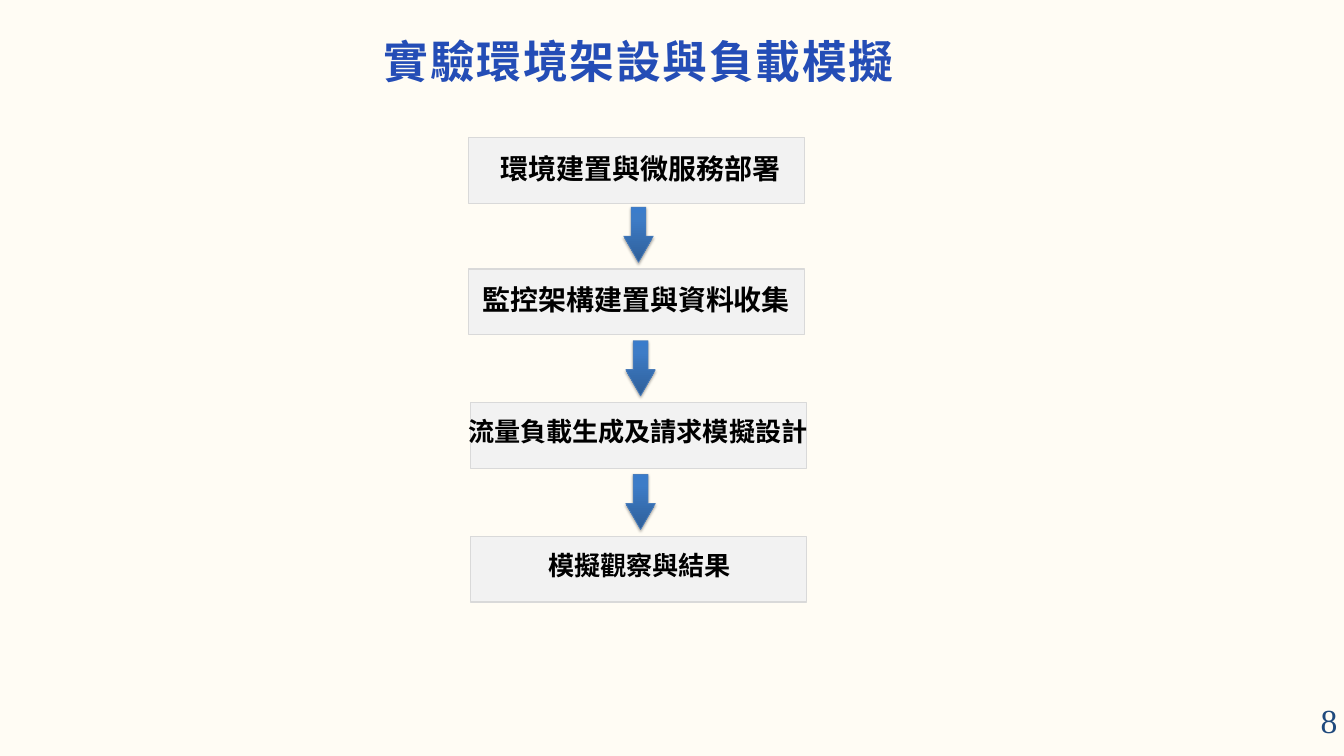
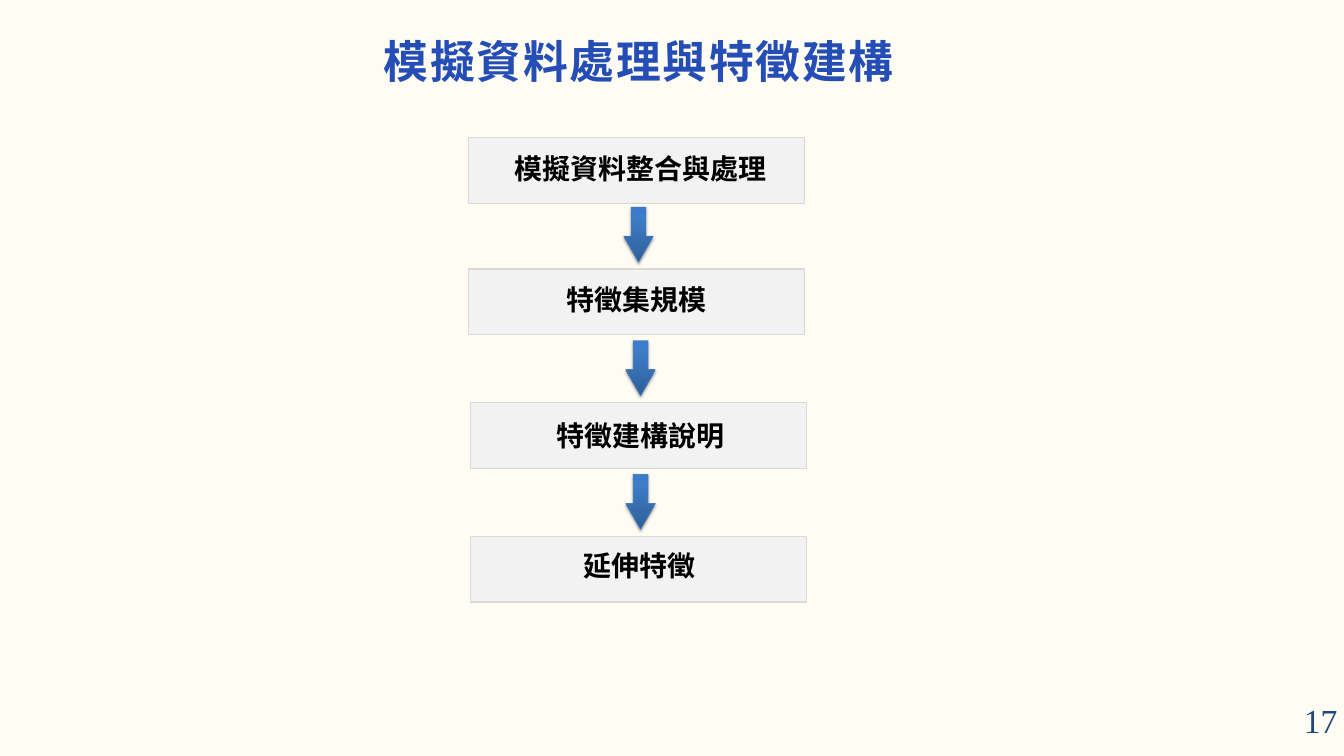
from lxml import etree
from pptx import Presentation
from pptx.dml.color import RGBColor
from pptx.enum.shapes import MSO_SHAPE
from pptx.enum.text import MSO_ANCHOR, MSO_AUTO_SIZE, PP_ALIGN
from pptx.oxml.ns import qn
from pptx.util import Pt

RECTANGLE, DOWN_ARROW = MSO_SHAPE.RECTANGLE, MSO_SHAPE.DOWN_ARROW
TOP, MIDDLE = MSO_ANCHOR.TOP, MSO_ANCHOR.MIDDLE
CENTER, RIGHT = PP_ALIGN.CENTER, PP_ALIGN.RIGHT
GROW, FIXED = MSO_AUTO_SIZE.SHAPE_TO_FIT_TEXT, MSO_AUTO_SIZE.NONE

CREAM = RGBColor(0xFF, 0xFC, 0xF4)
TITLE_BLUE = RGBColor(0x24, 0x4D, 0xB6)
NUMBER_BLUE = RGBColor(0x1F, 0x49, 0x7D)
BLACK = RGBColor(0, 0, 0)
STEP_FILL = RGBColor(0xF2, 0xF2, 0xF2)
STEP_EDGE = RGBColor(0xD9, 0xD9, 0xD9)
ARROW_EDGE = RGBColor(0x4B, 0x7E, 0xBC)
ARROW_STOPS = (
    (0, RGBColor(0x2F, 0x5F, 0x99)),
    (80, RGBColor(0x3D, 0x7C, 0xC7)),
    (100, RGBColor(0x3A, 0x7C, 0xCB)),
)
SANS, SERIF = "Noto Sans CJK SC", "Times New Roman"

STEP_PLACES = ((502, 147.5), (502, 288.2), (504, 431.5), (504, 574.8))
STEP_WIDTH, STEP_HEIGHT = 360, 70.3
ARROW_LEFTS = (668.3, 670.5, 670.5)
ARROW_TOP, ARROW_PITCH = 221.9, 143.2
ARROW_WIDTH, ARROW_HEIGHT = 31.7, 59

SLIDES = (
    ("實驗環境架設與負載模擬", 8, (
        ("環境建置與微服務部署", 685.8, 158.4, 378, 30),
        ("監控架構建置與資料收集", 681.5, 299.5, 378, 30),
        ("流量負載生成及請求模擬設計", 683.3, 441.4, 384.5, 28),
        ("模擬觀察與結果", 685.4, 584.6, 273.6, 28),
    )),
    ("模擬資料處理與特徵建構", 17, (
        ("模擬資料整合與處理", 685.8, 158.4, 378, 30),
        ("特徵集規模", 681.5, 299.5, 378, 30),
        ("特徵建構說明", 686.5, 445, 378, 30),
        ("延伸特徵", 685.4, 584.6, 273.6, 30),
    )),
)


def add_node(parent, tag, **attributes):
    """Append a DrawingML element with the given attributes."""
    node = etree.SubElement(parent, qn(tag))
    for name, value in attributes.items():
        node.set(name, str(value))
    return node


def write(frame, text, *, size, color, font=SANS, bold=False, align=CENTER,
          anchor=TOP, fit=FIXED, line_spacing=None, tracking=None):
    """Put one formatted paragraph into a text frame."""
    frame.word_wrap = True
    frame.auto_size = fit
    frame.vertical_anchor = anchor
    para = frame.paragraphs[0]
    para.alignment = align
    if line_spacing:
        para.line_spacing = Pt(line_spacing)
    span = para.add_run()
    span.text = text
    span.font.size = Pt(size)
    span.font.bold = bold
    span.font.color.rgb = color
    span.font.name = font
    properties = span.font._element
    add_node(properties, "a:ea", typeface=font)
    if tracking:
        properties.set("spc", str(round(tracking * 100)))


class FlowDeck:
    """Holds the shared style and the slide being drawn."""

    def __init__(self):
        """Start a deck with the cream background."""
        self.deck = Presentation()
        self.deck.slide_width, self.deck.slide_height = Pt(1440), Pt(810)
        background = self.deck.slide_master.background.fill
        background.solid()
        background.fore_color.rgb = CREAM
        self.page = None

    def start_page(self, title, number):
        """Add a slide with its title and page number."""
        self.page = self.deck.slides.add_slide(self.deck.slide_layouts[6])
        self.text(title, 360.7, 51.1, 648, 43, margin=0, size=48, bold=True,
                  color=TITLE_BLUE, fit=GROW, line_spacing=42.4, tracking=1.9)
        self.text(str(number), 1272, 757.4, 168, 28.8, size=36, font=SERIF,
                  color=NUMBER_BLUE, align=RIGHT, anchor=MIDDLE)

    def text(self, text, left, top, width, height, margin=None, **style):
        """Add a text box."""
        box = self.page.shapes.add_textbox(Pt(left), Pt(top), Pt(width), Pt(height))
        frame = box.text_frame
        if margin is not None:
            frame.margin_left = frame.margin_right = Pt(margin)
            frame.margin_top = frame.margin_bottom = Pt(margin)
        write(frame, text, **style)

    def shape(self, kind, left, top, width, height, edge, weight):
        """Add an outlined preset shape without a shadow."""
        shape = self.page.shapes.add_shape(kind, Pt(left), Pt(top), Pt(width), Pt(height))
        shape.shadow.inherit = False
        shape.line.color.rgb = edge
        shape.line.width = Pt(weight)
        return shape

    def step(self, left, top, label, center, label_top, label_width, size):
        """Add a step panel and its label."""
        panel = self.shape(RECTANGLE, left, top, STEP_WIDTH, STEP_HEIGHT, STEP_EDGE, 1.5)
        panel.fill.solid()
        panel.fill.fore_color.rgb = STEP_FILL
        self.text(label, center - label_width / 2, label_top, label_width, size * 1.46,
                  size=size, color=BLACK, bold=True, fit=GROW)

    def arrow(self, left, top):
        """Add a shaded down arrow with a soft shadow."""
        arrow = self.shape(DOWN_ARROW, left, top, ARROW_WIDTH, ARROW_HEIGHT, ARROW_EDGE, 0.75)
        arrow.adjustments[0], arrow.adjustments[1] = 0.5, 0.88
        arrow.fill.gradient()
        arrow.fill.gradient_angle = 90
        properties = arrow.element.spPr
        stops = properties.find(".//" + qn("a:gsLst"))
        for stop in list(stops):
            stops.remove(stop)
        for position, color in ARROW_STOPS:
            stop = add_node(stops, "a:gs", pos=position * 1000)
            add_node(stop, "a:srgbClr", val=color)
        shadow = add_node(properties.find(qn("a:effectLst")), "a:outerShdw",
                          blurRad=Pt(3.1), dist=Pt(1.8), dir=90 * 60000, rotWithShape=0)
        add_node(add_node(shadow, "a:srgbClr", val=BLACK), "a:alpha", val=35000)

    def flow(self, steps):
        """Draw the column of steps joined by arrows."""
        for place, step in zip(STEP_PLACES, steps):
            self.step(*place, *step)
        for index, left in enumerate(ARROW_LEFTS):
            self.arrow(left, ARROW_TOP + index * ARROW_PITCH)


def main():
    """Build and save the deck."""
    builder = FlowDeck()
    for title, number, steps in SLIDES:
        builder.start_page(title, number)
        builder.flow(steps)
    builder.deck.save("out.pptx")


if __name__ == "__main__":
    main()
